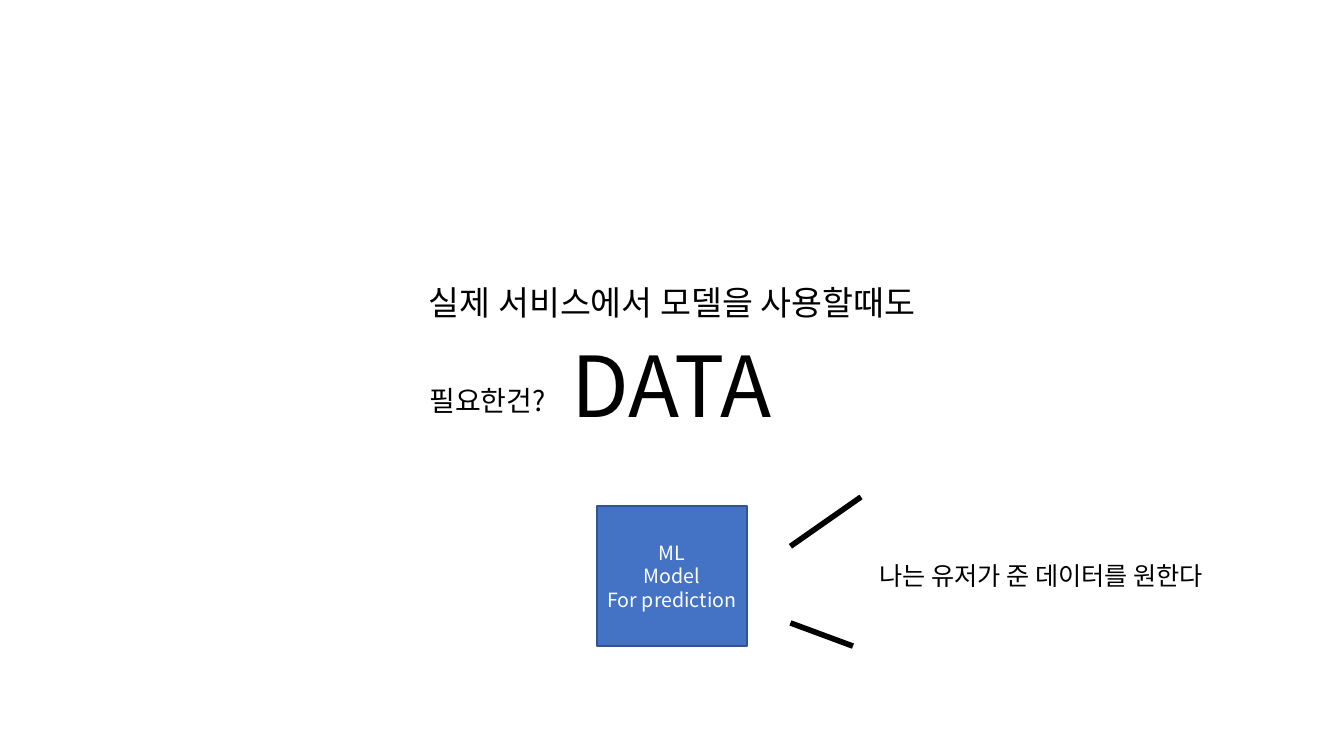
from lxml.etree import SubElement
from pptx import Presentation
from pptx.dml.color import RGBColor
from pptx.enum.shapes import MSO_CONNECTOR as CONN, MSO_SHAPE as SHAPE
from pptx.enum.text import MSO_ANCHOR as ANCHOR, MSO_AUTO_SIZE as AUTO, PP_ALIGN as ALIGN
from pptx.oxml.ns import qn
from pptx.util import Inches, Pt

COLORS = {"ink": "000000", "box": "4472C4", "edge": "325491", "light": "FFFFFF"}


class SlideBuilder:
    font = "Noto Sans CJK KR"

    def __init__(self, slide):
        self.s = slide

    def color(self, name):
        return RGBColor.from_string(COLORS[name])

    def fill_text(self, tf, lines, size, color, align):
        for i, line in enumerate(lines):
            p = tf.paragraphs[0] if i == 0 else tf.add_paragraph()
            p.text = line
            p.alignment = align
            f = p.font
            f.size, f.name = Pt(size), self.font
            f.color.rgb = self.color(color)
            # Hangul takes the East Asian typeface
            SubElement(p._p.pPr.find(qn("a:defRPr")), qn("a:ea"), typeface=self.font)

    def text(self, x, y, w, h, line, size, align=ALIGN.LEFT, wrap=True):
        tf = self.s.shapes.add_textbox(Inches(x), Inches(y), Inches(w), Inches(h)).text_frame
        tf.word_wrap = wrap
        tf.auto_size = AUTO.SHAPE_TO_FIT_TEXT
        self.fill_text(tf, [line], size, "ink", align)

    def box(self, x, y, w, h, lines, size):
        sp = self.s.shapes.add_shape(SHAPE.RECTANGLE, Inches(x), Inches(y), Inches(w), Inches(h))
        sp.shadow.inherit = False
        sp.fill.solid()
        sp.fill.fore_color.rgb = self.color("box")
        sp.line.color.rgb = self.color("edge")
        sp.line.width = Pt(1)
        tf = sp.text_frame
        tf.word_wrap = True
        tf.vertical_anchor = ANCHOR.MIDDLE
        tf.margin_left = tf.margin_right = tf.margin_top = tf.margin_bottom = 0
        self.fill_text(tf, lines, size, "light", ALIGN.CENTER)

    def line(self, x1, y1, x2, y2):
        c = self.s.shapes.add_connector(CONN.STRAIGHT, Inches(x1), Inches(y1), Inches(x2), Inches(y2))
        c.line.color.rgb = self.color("ink")
        c.line.width = Pt(4)
        SubElement(c._element.spPr, qn("a:effectLst"))


def main():
    prs = Presentation()
    prs.slide_width, prs.slide_height = Inches(13.33), Inches(7.5)
    b = SlideBuilder(prs.slides.add_slide(prs.slide_layouts[6]))

    # Model
    b.box(5.92, 5.02, 1.49, 1.39, ["ML", "Model", "For prediction"], 14)

    # Headline and its answer
    b.text(3.7, 2.75, 5.93, 0.5, "실제 서비스에서 모델을 사용할때도", 24, ALIGN.CENTER)
    b.text(3.98, 3.26, 5.36, 1.11, "DATA", 60, ALIGN.CENTER)

    # Speech strokes and what the model says
    b.line(8.54, 4.93, 7.84, 5.42)
    b.line(8.46, 6.41, 7.84, 6.18)
    b.text(8.62, 5.51, 4.07, 0.4, "나는 유저가 준 데이터를 원한다", 18)

    # Question
    b.text(4.16, 3.76, 1.55, 0.44, "필요한건?", 20, wrap=False)

    prs.save("out.pptx")


if __name__ == "__main__":
    main()
